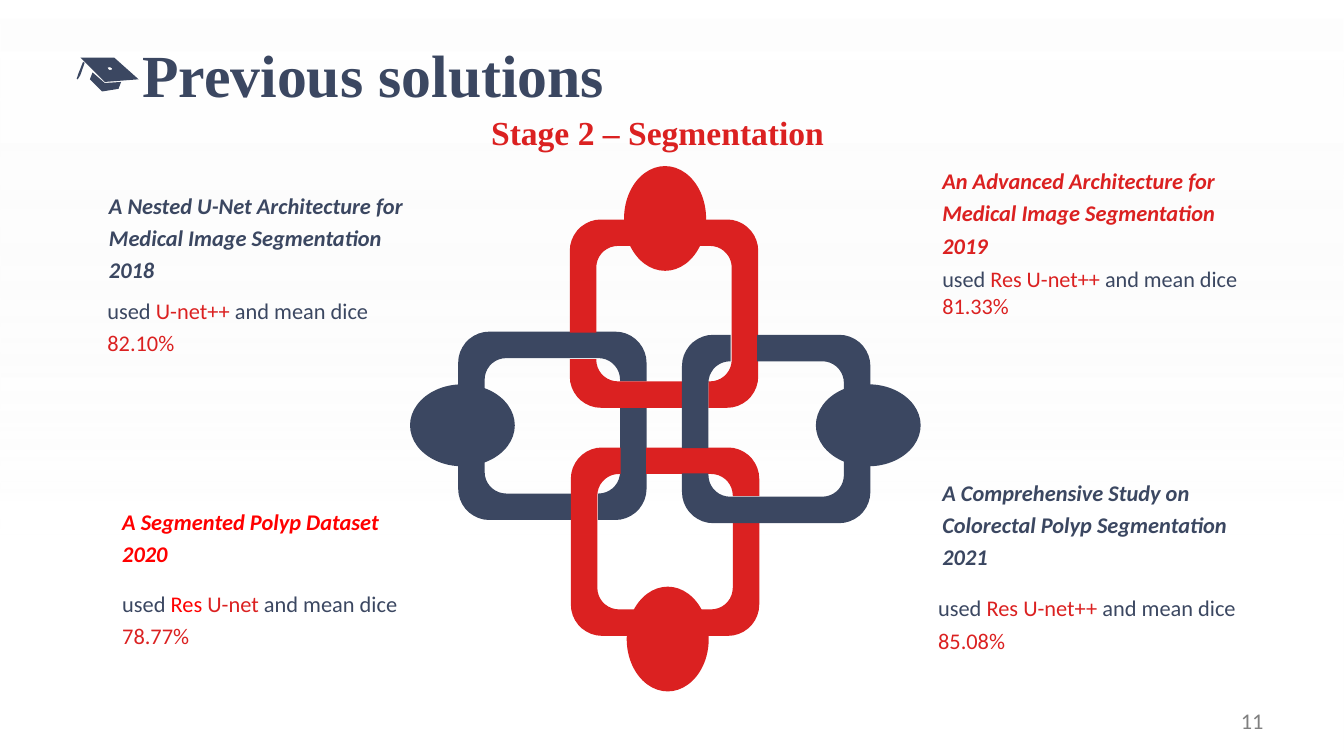
from math import cos, radians, sin

from lxml import etree
from pptx import Presentation
from pptx.dml.color import RGBColor
from pptx.enum.shapes import MSO_SHAPE
from pptx.enum.text import MSO_ANCHOR, PP_ALIGN
from pptx.oxml.ns import qn
from pptx.util import Cm, Pt

RECT, OVAL = MSO_SHAPE.RECTANGLE, MSO_SHAPE.OVAL
TOP, MIDDLE = MSO_ANCHOR.TOP, MSO_ANCHOR.MIDDLE
LEFT, CENTER, RIGHT = PP_ALIGN.LEFT, PP_ALIGN.CENTER, PP_ALIGN.RIGHT

COLORS = {"navy": "3B4761", "red": "DB2121", "bright": "FF0000",
          "gray": "808080", "white": "FFFFFF", "mist": "F2F2F2"}
SERIF, SANS = "Times New Roman", "Calibri"
WIDTH, HEIGHT = 25.4, 14.29

# Chain link, in cm from its centre
OUTER, INNER = 1.78, 1.28
OUTER_R, INNER_R = 0.59, 0.41


def rgb(name):
    return RGBColor.from_string(COLORS[name])


def add_run(p, text, color="navy", size=12, font=SANS, bold=False, italic=False):
    r = p.add_run()
    r.text = text
    r.font.name, r.font.size = font, Pt(size)
    r.font.bold, r.font.italic = bold, italic
    r.font.color.rgb = rgb(color)


def corner(half, radius, start):
    """Points of a clockwise rounded corner; start is its first angle."""
    mid = radians(start + 45)
    cx = (half - radius) * (1 if cos(mid) > 0 else -1)
    cy = (half - radius) * (1 if sin(mid) > 0 else -1)
    angles = [radians(start + step) for step in range(0, 91, 10)]
    return [(cx + radius * cos(a), cy + radius * sin(a)) for a in angles]


def link_contours():
    """A rounded ring with two gaps where the neighbours pass over it."""
    short = [(INNER, -0.36), (OUTER, -0.36), *corner(OUTER, OUTER_R, 0),
             (0.86, OUTER), (0.86, INNER), *corner(INNER, INNER_R, 0)[::-1]]
    long = [(0.36, OUTER)]
    for start in (90, 180, 270):
        long += corner(OUTER, OUTER_R, start)
    long += [(OUTER, -0.84), (INNER, -0.84)]
    for start in (270, 180, 90):
        long += corner(INNER, INNER_R, start)[::-1]
    return [short, long + [(0.36, INNER)]]


class SlideBuilder:
    def __init__(self, slide):
        self.s = slide

    def finish(self, sp, color):
        sp.shadow.inherit = False
        sp.fill.solid()
        sp.fill.fore_color.rgb = rgb(color)
        sp.line.fill.background()

    def background(self):
        sp = self.s.shapes.add_shape(RECT, 0, 0, Cm(WIDTH), Cm(HEIGHT))
        self.finish(sp, "white")
        sp.fill.gradient()
        sp.fill.gradient_angle = 270
        stops = zip(sp.fill.gradient_stops, ("white", "mist"), (0, 0.71))
        for stop, color, position in stops:
            stop.color.rgb, stop.position = rgb(color), position
        grad = sp._element.spPr.find(qn("a:gradFill"))
        for clr, alpha in zip(grad.iter(qn("a:srgbClr")), ("55000", "0")):
            etree.SubElement(clr, qn("a:alpha")).set("val", alpha)

    def oval(self, cx, cy, w, h, color):
        sp = self.s.shapes.add_shape(OVAL, Cm(cx - w / 2), Cm(cy - h / 2), Cm(w), Cm(h))
        self.finish(sp, color)

    def outline(self, contours, color):
        contours = [[(Cm(x), Cm(y)) for x, y in c] for c in contours]
        builder = self.s.shapes.build_freeform(*contours[0][0], scale=1.0)
        for i, points in enumerate(contours):
            if i:
                builder.move_to(*points[0])
            builder.add_line_segments(points[1:], close=True)
        self.finish(builder.convert_to_shape(), color)

    def link(self, cx, cy, turns, color):
        contours = link_contours()
        for _ in range(turns):
            contours = [[(-y, x) for x, y in c] for c in contours]
        self.outline([[(cx + x, cy + y) for x, y in c] for c in contours], color)

    def text(self, x, y, w, h, paragraphs, align=LEFT, anchor=TOP,
             spacing=None, inset=(0, 0), **fmt):
        """Each paragraph is a list of (text, color) runs."""
        tf = self.s.shapes.add_textbox(Cm(x), Cm(y), Cm(w), Cm(h)).text_frame
        tf.word_wrap, tf.vertical_anchor = True, anchor
        tf.margin_left = tf.margin_right = Cm(inset[0])
        tf.margin_top = tf.margin_bottom = Cm(inset[1])
        for i, runs in enumerate(paragraphs):
            p = tf.add_paragraph() if i else tf.paragraphs[0]
            p.alignment = align
            if spacing:
                p.line_spacing = spacing
            for text, color in runs:
                add_run(p, text, color=color, **fmt)


def main():
    prs = Presentation()
    prs.slide_width, prs.slide_height = Cm(WIDTH), Cm(HEIGHT)
    b = SlideBuilder(prs.slides.add_slide(prs.slide_layouts[6]))
    b.background()

    # Title and graduation cap: base, tassel, board, button
    b.text(2.69, 0.71, 19.48, 1.37, [[("Previous solutions", "navy")]],
           size=32, font=SERIF, bold=True)
    b.outline([
        [(1.75, 1.37), (1.98, 1.57), (2.29, 1.55), (2.24, 1.68), (1.93, 1.73), (1.7, 1.5)],
        [(1.57, 1.17), (1.6, 1.19), (1.52, 1.42), (1.47, 1.5), (1.45, 1.49), (1.48, 1.4)],
        [(2.16, 1.09), (2.62, 1.5), (1.98, 1.55), (1.52, 1.09)],
        [(2.08, 1.27), (2.03, 1.28), (2.06, 1.32), (2.11, 1.32), (2.12, 1.29)],
    ], "navy")

    # Chain: link centre, quarter turns, knob centre, knob size, color
    wide, tall = (1.98, 1.55), (1.55, 1.98)
    chain = [
        ((10.44, 8.05), 0, (8.74, 8.04), wide, "navy"),
        ((12.55, 5.93), 1, (12.57, 4.13), tall, "red"),
        ((12.57, 10.24), 3, (12.62, 12.08), tall, "red"),
        ((14.67, 8.11), 2, (16.41, 8.04), wide, "navy"),
    ]
    for center, turns, knob, size, color in chain:
        b.link(*center, turns, color)
        b.oval(*knob, *size, color)

    # Papers: position, anchor, color, title lines
    box = (6.05, 1.09)
    papers = [
        (2.06, 3.53, TOP, "navy",
         ["A Nested U-Net Architecture for Medical Image Segmentation 2018"]),
        (2.31, 9.5, TOP, "bright", ["A Segmented Polyp Dataset", "2020"]),
        (17.81, 3.43, MIDDLE, "red",
         ["An Advanced Architecture for Medical Image Segmentation", "2019"]),
        (17.81, 9.32, MIDDLE, "navy",
         ["A Comprehensive Study on Colorectal Polyp Segmentation", "2021"]),
    ]
    for x, y, anchor, color, lines in papers:
        b.text(x, y, *box, [[(line, color)] for line in lines],
               anchor=anchor, spacing=1.2, bold=True, italic=True)

    # Results: position, anchor, spacing, size, model runs, score
    plus = [("Res U-net++ ", "red")]
    results = [
        (2.03, 5.51, TOP, 1.2, 12, [("U-net++ ", "red")], "82.10%"),
        (17.81, 4.98, MIDDLE, None, 11.9, plus, "81.33%"),
        (2.31, 11.05, TOP, 1.2, 12, [("Res ", "bright"), ("U-net ", "red")], "78.77%"),
        (17.73, 11.2, MIDDLE, 1.2, 12, plus, "85.08%"),
    ]
    for x, y, anchor, spacing, size, model, score in results:
        runs = [("used ", "navy"), *model, ("and mean dice ", "navy"), (score, "red")]
        b.text(x, y, *box, [runs], anchor=anchor, spacing=spacing, size=size)

    # Subtitle and page number
    b.text(2.69, 2.11, 19.48, 0.76, [[("Stage 2 – Segmentation", "red")]],
           align=CENTER, size=18, font=SERIF, bold=True)
    b.text(18.21, 13.23, 5.92, 0.76, [[("11", "gray")]],
           align=RIGHT, inset=(0.25, 0.13))

    prs.save("out.pptx")


if __name__ == "__main__":
    main()
